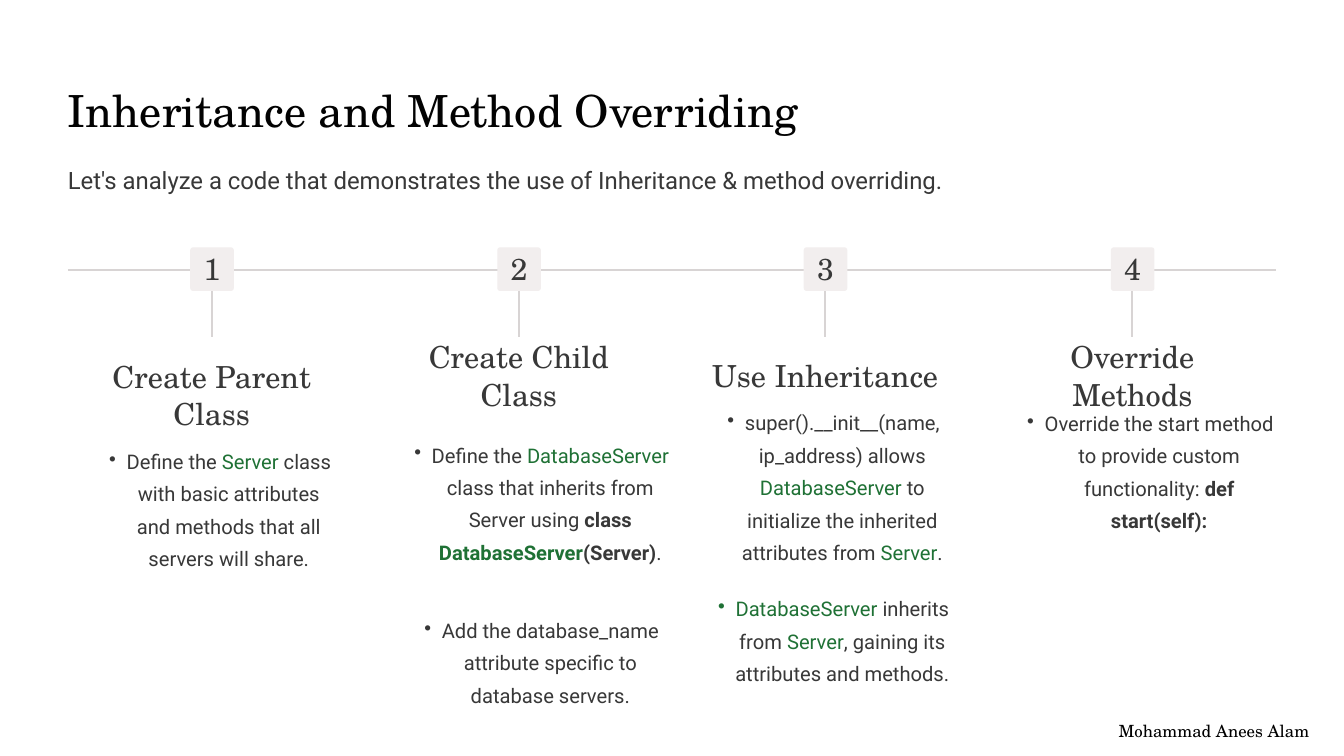
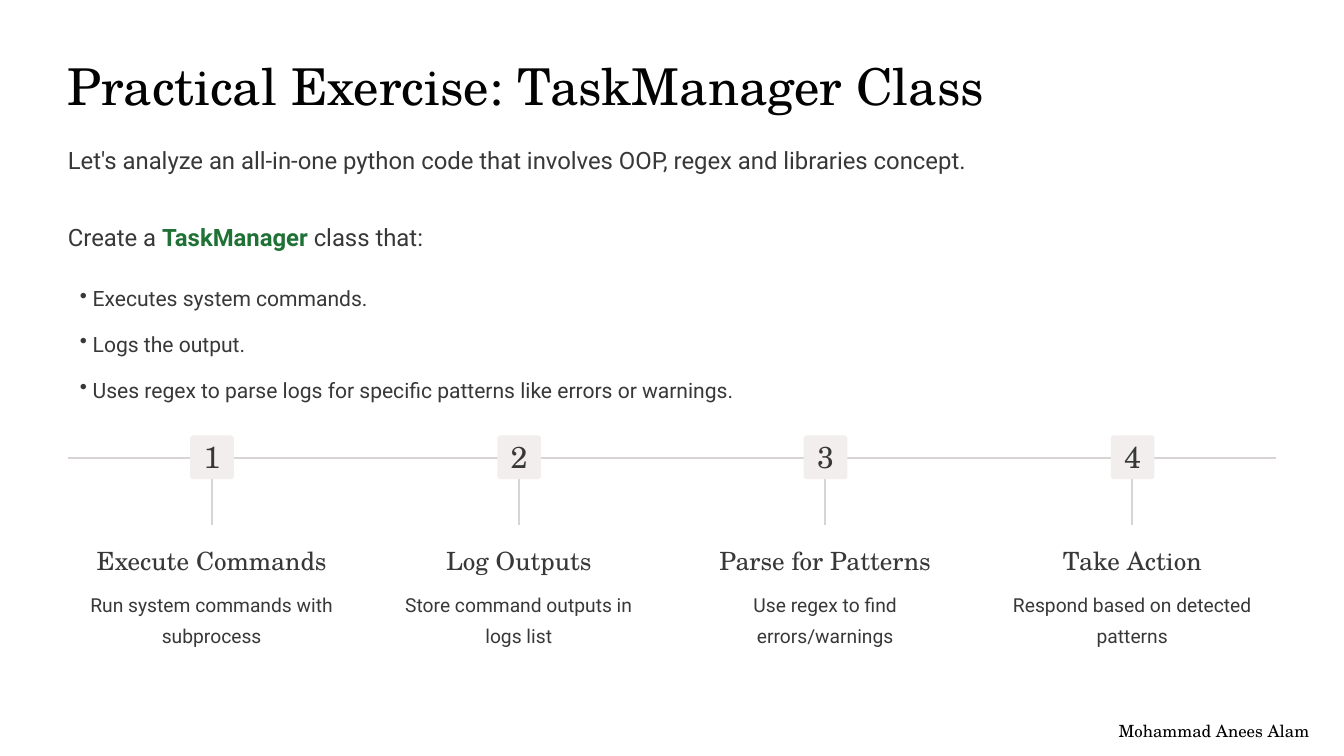
from lxml import etree
from pptx import Presentation
from pptx import util as u
from pptx.dml.color import RGBColor
from pptx.enum import shapes, text
from pptx.oxml import ns

PX = u.Inches(1) // 100
COLORS = {
    "background": "FFFFFF",
    "title": "020202",
    "body": "383838",
    "accent": "1F7135",
    "line": "D8D4D4",
    "badge": "F2EEEE",
    "footer": "000000",
}
SERIF, SANS = "TeX Gyre Schola", "Roboto"
LEFT, RIGHT = 101, 1899
CONTENT_WIDTH = RIGHT - LEFT
COLUMN_LEFT, COLUMN_WIDTH = 130, 370
COLUMN_LEFTS = [COLUMN_LEFT + round(step * 1370 / 3) for step in range(4)]
BADGE = 65
CENTER = text.PP_ALIGN.CENTER


def px(value):
    return u.Emu(value * PX)


def color(name):
    return RGBColor.from_string(COLORS[name])


def add_bullet(paragraph, margin, hanging):
    paragraph.level = 1
    properties = paragraph._p.get_or_add_pPr()
    properties.set("marL", str(px(margin)))
    properties.set("indent", str(-px(hanging)))
    etree.SubElement(properties, ns.qn("a:buChar")).set("char", "•")


def write(frame, runs, size, spacing, font=SANS, color_name="body", align=None, bullet=None):
    frame.word_wrap = True
    frame.margin_left = frame.margin_right = frame.margin_top = frame.margin_bottom = 0
    frame.vertical_anchor = text.MSO_ANCHOR.MIDDLE
    paragraph = frame.paragraphs[0]
    if bullet:
        add_bullet(paragraph, *bullet)
    paragraph.alignment = align
    paragraph.line_spacing = u.Pt(spacing)
    for content, style in [(runs, "")] if isinstance(runs, str) else runs:
        run = paragraph.add_run()
        run.text = content
        run.font.name = font
        run.font.size = u.Pt(size)
        run.font.bold = "bold" in style
        run.font.color.rgb = color("accent" if "accent" in style else color_name)


def add_text(slide, box, runs, size, spacing, **options):
    shape = slide.shapes.add_textbox(*map(px, box))
    write(shape.text_frame, runs, size, spacing, **options)
    return shape


def add_line(slide, x1, y1, x2, y2):
    line = slide.shapes.add_connector(shapes.MSO_CONNECTOR.STRAIGHT, *map(px, (x1, y1, x2, y2)))
    line.line.color.rgb = color("line")
    line.line.width = px(3)
    etree.SubElement(line._element.spPr, ns.qn("a:effectLst"))


def add_badge(slide, left, top, number):
    badge = slide.shapes.add_shape(
        shapes.MSO_SHAPE.ROUNDED_RECTANGLE, px(left), px(top), px(BADGE), px(BADGE))
    badge.adjustments[0] = 0.07
    badge.shadow.inherit = False
    badge.fill.solid()
    badge.fill.fore_color.rgb = color("badge")
    badge.line.fill.background()
    write(badge.text_frame, str(number), 32.5, 32.5, font=SERIF, align=CENTER)
    badge.text_frame.margin_top = px(6)


def add_timeline(slide, top):
    axis = top + 34
    add_line(slide, LEFT, axis, RIGHT, axis)
    for number, left in enumerate(COLUMN_LEFTS, 1):
        middle = left + COLUMN_WIDTH // 2
        add_line(slide, middle, axis, middle, top + 134)
        add_badge(slide, middle - BADGE // 2, top, number)


def add_heading(slide, left, top, height, heading, size, spacing):
    add_text(slide, (left, top, COLUMN_WIDTH, height), heading, size, spacing,
             font=SERIF, align=CENTER)


def add_intro(slide, top, runs):
    add_text(slide, (LEFT, top, CONTENT_WIDTH, 66), runs, 25.6, 41.2)


def add_title(slide, box, title, size, spacing):
    add_text(slide, box, title, size, spacing, font=SERIF, color_name="title")


def add_footer(slide):
    footer = add_text(slide, (1639, 1076, 335, 27), "Mohammad Anees Alam", 18, 19,
                      font=SERIF, color_name="footer", align=CENTER)
    footer.text_frame.vertical_anchor = text.MSO_ANCHOR.TOP
    footer.text_frame.auto_size = text.MSO_AUTO_SIZE.SHAPE_TO_FIT_TEXT


def add_slide(presentation):
    slide = presentation.slides.add_slide(presentation.slide_layouts[6])
    slide.background.fill.solid()
    slide.background.fill.fore_color.rgb = color("background")
    return slide


def build_inheritance(presentation):
    slide = add_slide(presentation)
    add_title(slide, (LEFT, 111, 1193, 102), "Inheritance and Method Overriding", 47.4, 59.4)
    add_intro(slide, 228,
              "Let's analyze a code that demonstrates the use of Inheritance & method overriding.")
    add_timeline(slide, 368)
    steps = [
        ("Create Parent Class", 115, 370, [
            (655, 196, [("Define the ", ""), ("Server", "accent"),
                        (" class with basic attributes and methods that all servers will share.", "")]),
        ]),
        ("Create Child Class", 58, 413, [
            (622, 243, [("Define the ", ""), ("DatabaseServer", "accent"),
                        (" class that inherits from Server using ", ""), ("class ", "bold"),
                        ("DatabaseServer", "bold accent"), ("(Server)", "bold"), (".", "")]),
            (906, 148, "Add the database_name attribute specific to database servers."),
        ]),
        ("Use Inheritance", 58, 370, [
            (598, 243, [("super().__init__(name, ip_address) allows ", ""),
                        ("DatabaseServer", "accent"),
                        (" to initialize the inherited attributes from ", ""),
                        ("Server", "accent"), (".", "")]),
            (850, 196, [("DatabaseServer", "accent"), (" inherits from ", ""),
                        ("Server", "accent"), (", gaining its attributes and methods.", "")]),
        ]),
        ("Override Methods", 58, 399, [
            (598, 196, [("Override the start method to provide custom functionality: ", ""),
                        ("def start(self):", "bold")]),
        ]),
    ]
    for left, (heading, heading_height, width, points) in zip(COLUMN_LEFTS, steps):
        add_heading(slide, left, 529, heading_height, heading, 32.5, 40.6)
        for top, height, runs in points:
            add_text(slide, (left, top, width, height), runs, 21.6, 34.7,
                     align=CENTER, bullet=(51, 26))
    add_footer(slide)


def build_exercise(presentation):
    slide = add_slide(presentation)
    add_title(slide, (LEFT, 67, 1399, 117), "Practical Exercise: TaskManager Class", 54.4, 68.1)
    add_intro(slide, 198,
              "Let's analyze an all-in-one python code that involves OOP, regex and libraries concept.")
    add_intro(slide, 313, [("Create a ", ""), ("TaskManager", "bold accent"), (" class that:", "")])
    tasks = [
        "Executes system commands.",
        "Logs the output.",
        "Uses regex to parse logs for specific patterns like errors or warnings.",
    ]
    for row, task in enumerate(tasks):
        add_text(slide, (LEFT, 405 + row * 68, CONTENT_WIDTH, 65), task, 22.6, 36.3,
                 bullet=(37, 19))
    add_timeline(slide, 648)
    steps = [
        ("Execute Commands", "Run system commands with subprocess"),
        ("Log Outputs", "Store command outputs in logs list"),
        ("Parse for Patterns", "Use regex to find errors/warnings"),
        ("Take Action", "Respond based on detected patterns"),
    ]
    for left, (heading, detail) in zip(COLUMN_LEFTS, steps):
        add_heading(slide, left, 809, 49, heading, 26.9, 33.7)
        add_text(slide, (left, 868, COLUMN_WIDTH, 99), detail, 20.6, 33.1, align=CENTER)
    add_footer(slide)


def main():
    presentation = Presentation()
    presentation.slide_width = px(2000)
    presentation.slide_height = px(1125)
    build_inheritance(presentation)
    build_exercise(presentation)
    presentation.save("out.pptx")


if __name__ == "__main__":
    main()
